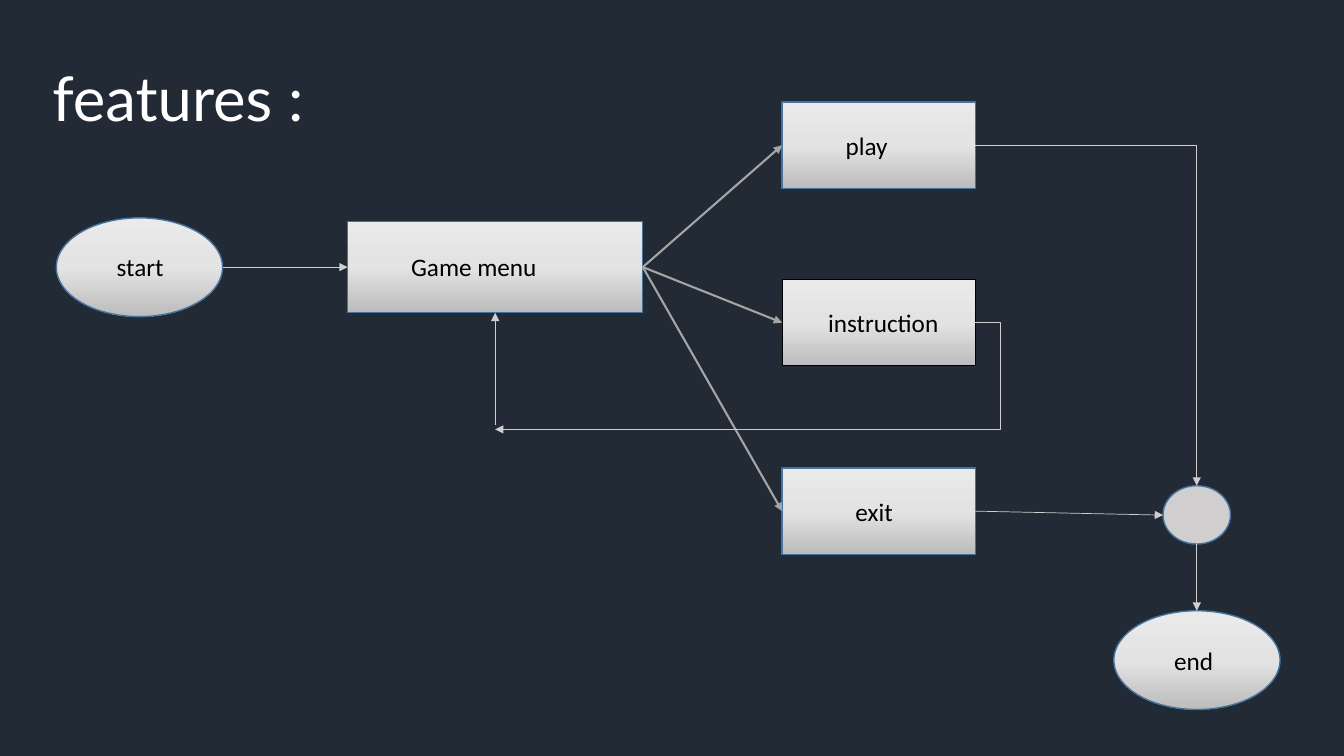
from copy import deepcopy

from pptx import Presentation
from pptx.dml.color import RGBColor
from pptx.enum.shapes import MSO_CONNECTOR, MSO_SHAPE
from pptx.enum.text import MSO_ANCHOR
from pptx.oxml.ns import qn
from pptx.oxml.xmlchemy import OxmlElement
from pptx.util import Cm, Pt

OVAL, RECT = MSO_SHAPE.OVAL, MSO_SHAPE.RECTANGLE
STRAIGHT, ELBOW = MSO_CONNECTOR.STRAIGHT, MSO_CONNECTOR.ELBOW
MIDDLE = MSO_ANCHOR.MIDDLE

NAVY = RGBColor(0x22, 0x2A, 0x35)
WHITE = RGBColor(0xFF, 0xFF, 0xFF)
BLACK = RGBColor(0x00, 0x00, 0x00)
BLUE = RGBColor(0x43, 0x73, 0x9E)
GRAY = RGBColor(0xA5, 0xA5, 0xA5)
SILVER = RGBColor(0xD0, 0xCE, 0xCE)
SHADES = [
    (0, RGBColor(0xEB, 0xEA, 0xEA)),
    (0.5, RGBColor(0xE4, 0xE3, 0xE3)),
    (1, RGBColor(0xBD, 0xBC, 0xBC)),
]

prs = Presentation()
prs.slide_width, prs.slide_height = Cm(33.87), Cm(19.05)
slide = prs.slides.add_slide(prs.slide_layouts[6])
slide.background.fill.solid()
slide.background.fill.fore_color.rgb = NAVY


def add_text(text, x, y, w, h, size, font, color):
    s = slide.shapes.add_textbox(Cm(x), Cm(y), Cm(w), Cm(h))
    tf = s.text_frame
    tf.word_wrap = True
    p = tf.paragraphs[0]
    p.text = text
    p.font.size, p.font.name = Pt(size), font
    p.font.color.rgb = color
    return tf


def add_arrow(kind, x1, y1, x2, y2, color, width):
    c = slide.shapes.add_connector(kind, Cm(x1), Cm(y1), Cm(x2), Cm(y2))
    c.line.color.rgb = color
    c.line.width = Pt(width)
    tail = OxmlElement("a:tailEnd")
    tail.set("type", "triangle")
    c.line._get_or_add_ln().append(tail)
    c._element.spPr.append(OxmlElement("a:effectLst"))
    return c


tf = add_text("features :", 1.07, 0.71, 29.21, 3.68, 44, "Lato", WHITE)
tf.vertical_anchor = MIDDLE
tf.paragraphs[0].line_spacing = 0.9

box_x, box_w, box_h = 19.71, 4.87, 2.18
play_y, instruction_y, exit_y = 2.57, 7.04, 11.79
nodes = [
    (OVAL, 1.42, 5.49, 4.19, 2.49, BLUE, 1),
    (RECT, 8.76, 5.59, 7.44, 2.29, BLUE, 1),
    (RECT, box_x, play_y, box_w, box_h, BLUE, 1),
    (RECT, box_x, instruction_y, box_w, box_h, BLACK, 0.5),
    (RECT, box_x, exit_y, box_w, box_h, BLUE, 1),
    (OVAL, 28.07, 15.39, 4.19, 2.49, BLUE, 1),
    (OVAL, 29.31, 12.24, 1.7, 1.47, BLUE, 1),
]
for shape, x, y, w, h, outline, width in nodes:
    s = slide.shapes.add_shape(shape, Cm(x), Cm(y), Cm(w), Cm(h))
    s.shadow.inherit = False
    s.line.color.rgb = outline
    s.line.width = Pt(width)
    if w < 2:
        s.fill.solid()
        s.fill.fore_color.rgb = SILVER
        continue
    s.fill.gradient()
    s.fill.gradient_angle = 270
    stops = s._element.spPr.find(qn("a:gradFill")).find(qn("a:gsLst"))
    stops.append(deepcopy(stops[0]))
    for stop, (position, color) in zip(s.fill.gradient_stops, SHADES):
        stop.position = position
        stop.color.rgb = color

menu_right, menu_y, menu_bottom = 16.2, 6.73, 7.88
menu_x = 12.48
box_right = box_x + box_w
junction_x, junction_y = 30.16, 12.98
for y in (play_y, instruction_y, exit_y):
    add_arrow(STRAIGHT, menu_right, menu_y, box_x, y + box_h / 2, GRAY, 1.5)

back = add_arrow(ELBOW, box_right, instruction_y + box_h / 2, menu_x, 10.82, SILVER, 1)
guide = OxmlElement("a:gd")
guide.set("name", "adj1")
guide.set("fmla", "val -5200")
back._element.spPr.find(qn("a:prstGeom")).get_or_add_avLst().append(guide)

down = add_arrow(ELBOW, box_right, play_y + box_h / 2, junction_x, 12.24, SILVER, 0.5)
down._element.spPr.find(qn("a:prstGeom")).set("prst", "bentConnector2")

add_arrow(STRAIGHT, menu_x, 10.72, menu_x, menu_bottom, SILVER, 1)
for x1, y1, x2, y2 in [
    (box_right, exit_y + box_h / 2, 29.31, junction_y),
    (junction_x, 13.71, junction_x, 15.39),
    (5.61, menu_y, 8.76, menu_y),
]:
    add_arrow(STRAIGHT, x1, y1, x2, y2, SILVER, 0.5)

for text, x, y, w in [
    ("start", 2.69, 6.22, 2.54),
    ("Game menu", 10.11, 6.22, 6.1),
    ("play", 21.06, 3.15, 2.21),
    ("instruction", 20.62, 7.62, 3.33),
    ("exit", 21.31, 12.37, 3.15),
    ("end", 29.34, 16.13, 2.13),
]:
    add_text(text, x, y, w, 1.02, 18, "Calibri", BLACK)

prs.save("out.pptx")
